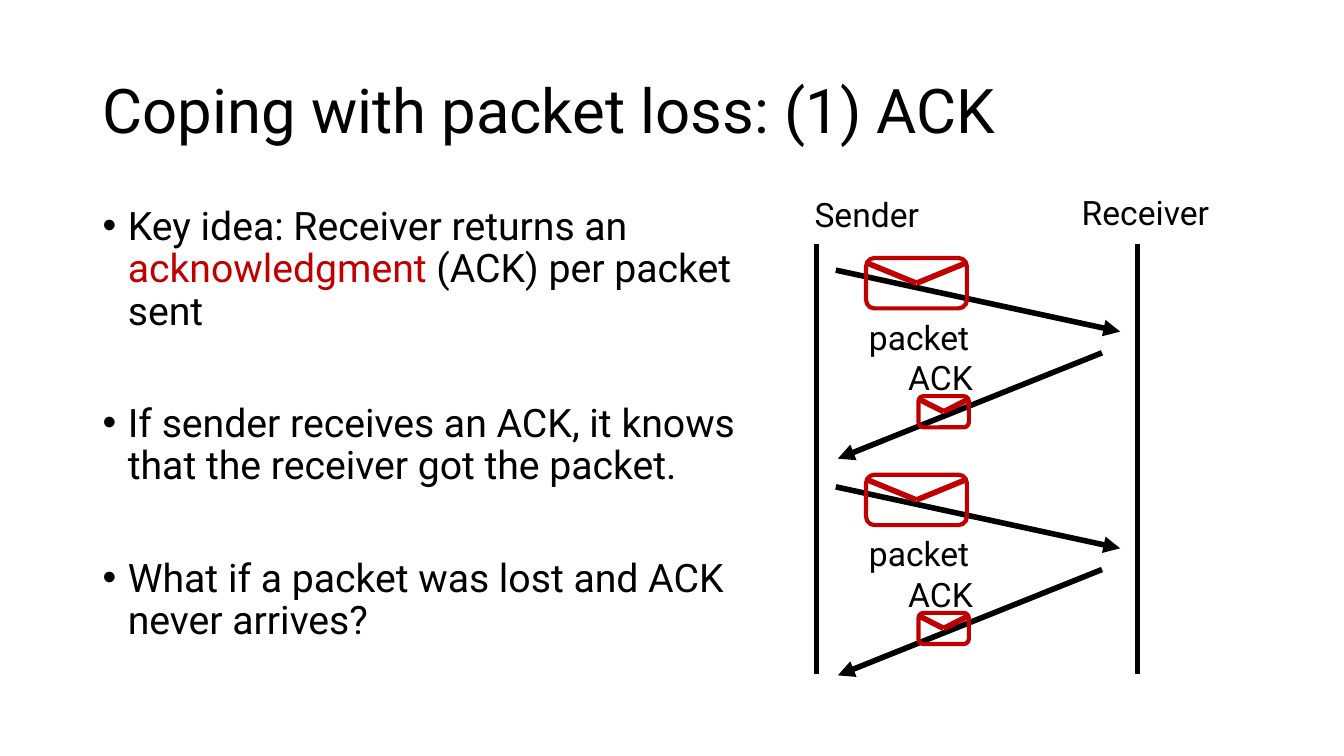
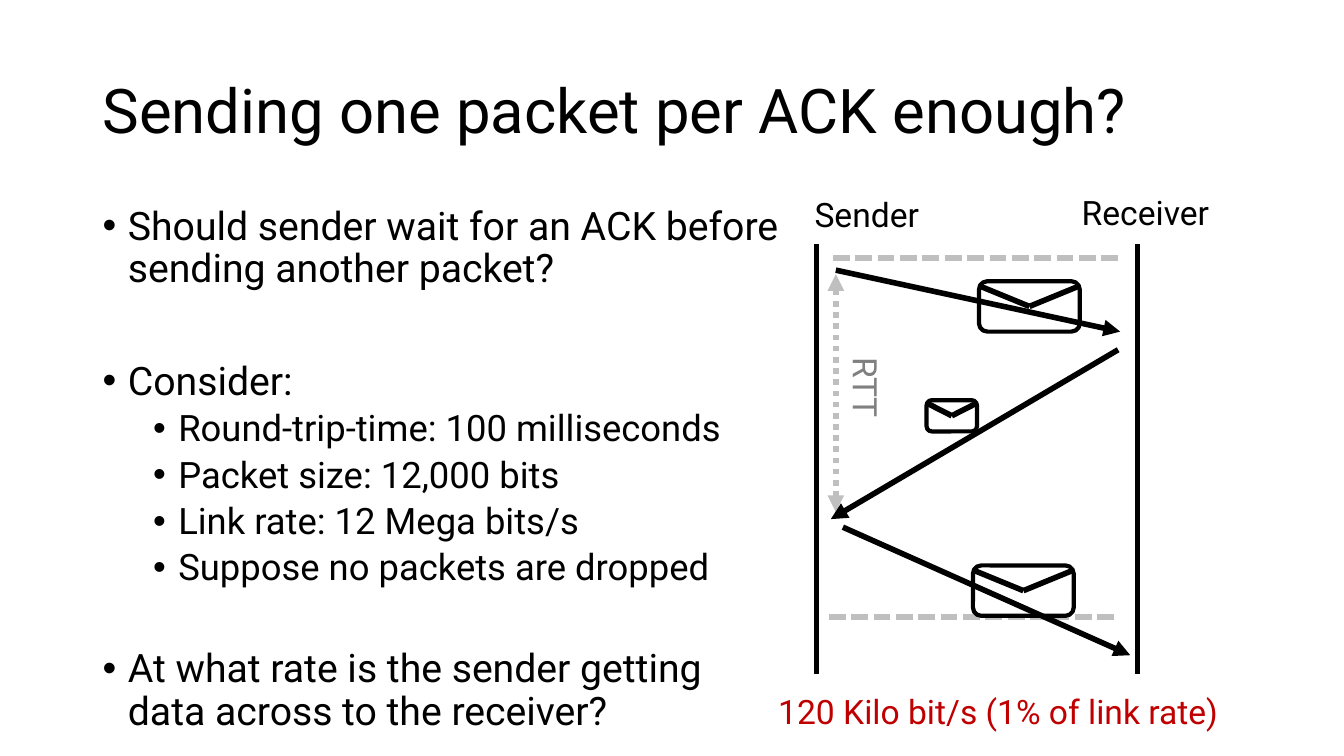
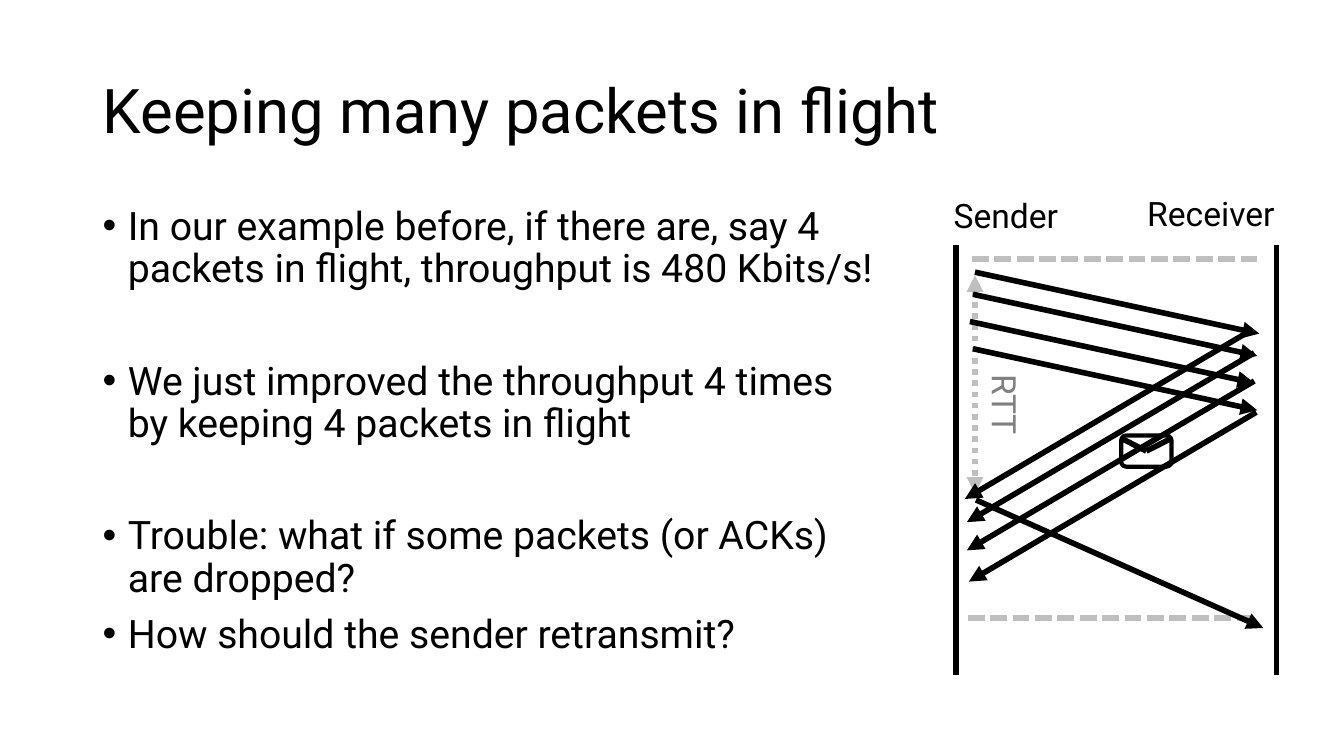
from pptx import Presentation
from pptx.dml.color import RGBColor
from pptx.enum.dml import MSO_LINE
from pptx.enum.shapes import MSO_CONNECTOR, MSO_SHAPE
from pptx.enum.text import MSO_ANCHOR
from pptx.oxml.ns import qn
from pptx.util import Emu, Pt
from lxml import etree

STRAIGHT = MSO_CONNECTOR.STRAIGHT
ROUNDED = MSO_SHAPE.ROUNDED_RECTANGLE
MIDDLE = MSO_ANCHOR.MIDDLE
TOP = MSO_ANCHOR.TOP
DASHED = MSO_LINE.SQUARE_DOT
DOTTED = MSO_LINE.ROUND_DOT

COLORS = {"ink": "000000", "accent": "C00000", "guide": "BFBFBF", "muted": "808080"}
FONT = "Roboto"
TITLE_SIZE, LABEL_SIZE = 44, 24
LEVELS = [
    {"size": 28, "indent": 25, "space": 10},
    {"size": 26, "indent": 75, "space": 5},
]
HANGING = 25
GAP_AFTER_TEXT, GAP_AFTER_LIST = 50, 43
LIFELINE_GAP, LIFELINE_HEIGHT = 318, 427
PACKET_SIZE, ACK_SIZE = (100, 50), (50, 31)
PACKET_STEP, ACK_STEP, NEXT_STEP = (282, 61), (-285, 168), (285, 127)


def px(length):
    return Emu(round(length * 9144))


def color(name):
    return RGBColor.from_string(COLORS[name])


def add_run(paragraph, text, size, color_name="ink"):
    run = paragraph.add_run()
    run.text = text
    run.font.name = FONT
    run.font.size = Pt(size)
    run.font.color.rgb = color(color_name)


def add_text_box(slide, left, top, width, height, anchor=TOP):
    shape = slide.shapes.add_textbox(px(left), px(top), px(width), px(height))
    shape.text_frame.word_wrap = True
    shape.text_frame.vertical_anchor = anchor
    return shape


def add_label(slide, left, top, width, text, color_name="ink"):
    shape = add_text_box(slide, left, top, width, 50)
    add_run(shape.text_frame.paragraphs[0], text, LABEL_SIZE, color_name)
    return shape


def add_line(shapes, start, end, color_name="ink", dash=None, ends=()):
    connector = shapes.add_connector(STRAIGHT, *map(px, (*start, *end)))
    connector.line.color.rgb = color(color_name)
    connector.line.width = Pt(4)
    if dash:
        connector.line.dash_style = dash
    properties = connector._element.spPr
    for end_name in ends:
        etree.SubElement(properties.find(qn("a:ln")), qn(f"a:{end_name}"), type="triangle")
    etree.SubElement(properties, qn("a:effectLst"))


def add_arrow(slide, origin, start, step):
    x, y = origin[0] + start[0], origin[1] + start[1]
    add_line(slide.shapes, (x, y), (x + step[0], y + step[1]), ends=["tailEnd"])


def add_envelope(slide, origin, offset, size, color_name="ink"):
    left, top = origin[0] + offset[0], origin[1] + offset[1]
    width, height = size
    shapes = slide.shapes.add_group_shape().shapes
    body = shapes.add_shape(ROUNDED, px(left), px(top), px(width), px(height))
    body.shadow.inherit = False
    body.fill.background()
    body.line.color.rgb = color(color_name)
    body.line.width = Pt(3)
    tip = (left + width / 2, top + height / 2)
    flap_top = top + height * 0.09
    add_line(shapes, (left, flap_top), tip, color_name)
    add_line(shapes, tip, (left + width, flap_top), color_name)


def add_title(slide, text):
    shape = add_text_box(slide, 92, 40, 1150, 145, MIDDLE)
    paragraph = shape.text_frame.paragraphs[0]
    paragraph.line_spacing = 0.9
    add_run(paragraph, text, TITLE_SIZE)


def add_bullets(slide, width, height, bullets):
    frame = add_text_box(slide, 92, 200, width, height).text_frame
    for index, (level, gap, runs) in enumerate(bullets):
        style = LEVELS[level]
        paragraph = frame.add_paragraph() if index else frame.paragraphs[0]
        properties = paragraph._p.get_or_add_pPr()
        properties.set("marL", str(px(style["indent"])))
        properties.set("indent", str(px(-HANGING)))
        etree.SubElement(properties, qn("a:buFont"), typeface="Arial")
        etree.SubElement(properties, qn("a:buChar"), char="•")
        paragraph.level = level
        paragraph.line_spacing = 0.9
        if index:
            paragraph.space_before = Pt(gap or style["space"])
        for text, color_name in runs:
            add_run(paragraph, text, style["size"], color_name)


def bullet(text, level=0, gap=None):
    return level, gap, [(text, "ink")]


def add_lifelines(slide, origin, receiver_left=253):
    left, top = origin
    for x in (left, left + LIFELINE_GAP):
        add_line(slide.shapes, (x, top), (x, top + LIFELINE_HEIGHT))
    add_label(slide, left - 12, top - 55, 151, "Sender")
    add_label(slide, left + receiver_left, top - 57, 168, "Receiver")


def add_round_trip(slide, origin, arrow_end, label_top):
    left, top = origin
    for x, y in ((12, 370), (16, 14)):
        start = (left + x, top + y)
        add_line(slide.shapes, start, (start[0] + 285, start[1]), "guide", DASHED)
    add_line(slide.shapes, (left + 19, top + 30), (left + 19, top + arrow_end),
             "guide", DOTTED, ["headEnd", "tailEnd"])
    label = add_label(slide, left - 6, top + label_top, 110, "RTT", "muted")
    label.rotation = 90


def add_exchange(slide, origin):
    left, top = origin
    add_arrow(slide, origin, (19, 26), PACKET_STEP)
    add_envelope(slide, origin, (49, 14), PACKET_SIZE, "accent")
    add_arrow(slide, origin, (283, 108), (-262, 105))
    add_envelope(slide, origin, (101, 151), ACK_SIZE, "accent")
    add_label(slide, left + 81, top + 107, 110, "ACK")
    add_label(slide, left + 42, top + 67, 140, "packet")


def build_ack_slide(slide):
    add_title(slide, "Coping with packet loss: (1) ACK")
    add_bullets(slide, 704, 476, [
        (0, None, [("Key idea: Receiver returns an ", "ink"),
                   ("acknowledgment ", "accent"),
                   ("(ACK) per packet sent", "ink")]),
        bullet("If sender receives an ACK, it knows that the receiver got the packet.",
               gap=GAP_AFTER_TEXT),
        bullet("What if a packet was lost and ACK never arrives?", gap=GAP_AFTER_TEXT),
    ])
    left, top = origin = (810, 242)
    add_lifelines(slide, origin)
    for offset in (0, 215):
        add_exchange(slide, (left, top + offset))


def build_stop_and_wait_slide(slide):
    add_title(slide, "Sending one packet per ACK enough?")
    add_bullets(slide, 692, 550, [
        bullet("Should sender wait for an ACK before sending another packet?"),
        bullet("Consider:", gap=GAP_AFTER_TEXT),
        bullet("Round-trip-time: 100 milliseconds", 1),
        bullet("Packet size: 12,000 bits", 1),
        bullet("Link rate: 12 Mega bits/s", 1),
        bullet("Suppose no packets are dropped", 1),
        bullet("At what rate is the sender getting data across to the receiver?",
               gap=GAP_AFTER_LIST),
    ])
    left, top = origin = (810, 242)
    add_lifelines(slide, origin)
    add_round_trip(slide, origin, 266, 133)
    add_arrow(slide, origin, (19, 26), PACKET_STEP)
    add_envelope(slide, origin, (161, 37), PACKET_SIZE)
    add_arrow(slide, origin, (299, 105), ACK_STEP)
    add_envelope(slide, origin, (109, 155), ACK_SIZE)
    add_arrow(slide, origin, (26, 281), NEXT_STEP)
    add_envelope(slide, origin, (155, 319), PACKET_SIZE)
    add_label(slide, left - 48, top + 439, 501, "120 Kilo bit/s (1% of link rate)", "accent")


def build_pipelining_slide(slide):
    add_title(slide, "Keeping many packets in flight")
    add_bullets(slide, 787, 510, [
        bullet("In our example before, if there are, say 4 packets in flight, "
               "throughput is 480 Kbits/s!"),
        bullet("We just improved the throughput 4 times by keeping 4 packets in flight",
               gap=GAP_AFTER_TEXT),
        bullet("Trouble: what if some packets (or ACKs) are dropped?", gap=GAP_AFTER_TEXT),
        bullet("How should the sender retransmit?"),
    ])
    origin = (948, 243)
    add_lifelines(slide, origin, 180)
    add_round_trip(slide, origin, 247, 149)
    for start in ((19, 27), (17, 49), (14, 76), (17, 103)):
        add_arrow(slide, origin, start, PACKET_STEP)
    for start in ((294, 84), (296, 107), (296, 135), (298, 166)):
        add_arrow(slide, origin, start, ACK_STEP)
    add_arrow(slide, origin, (20, 253), NEXT_STEP)
    add_envelope(slide, origin, (164, 189), ACK_SIZE)


def main():
    presentation = Presentation()
    presentation.slide_width = px(1333)
    presentation.slide_height = px(750)
    blank = presentation.slide_layouts[6]
    for build in (build_ack_slide, build_stop_and_wait_slide, build_pipelining_slide):
        build(presentation.slides.add_slide(blank))
    presentation.save("out.pptx")


if __name__ == "__main__":
    main()
